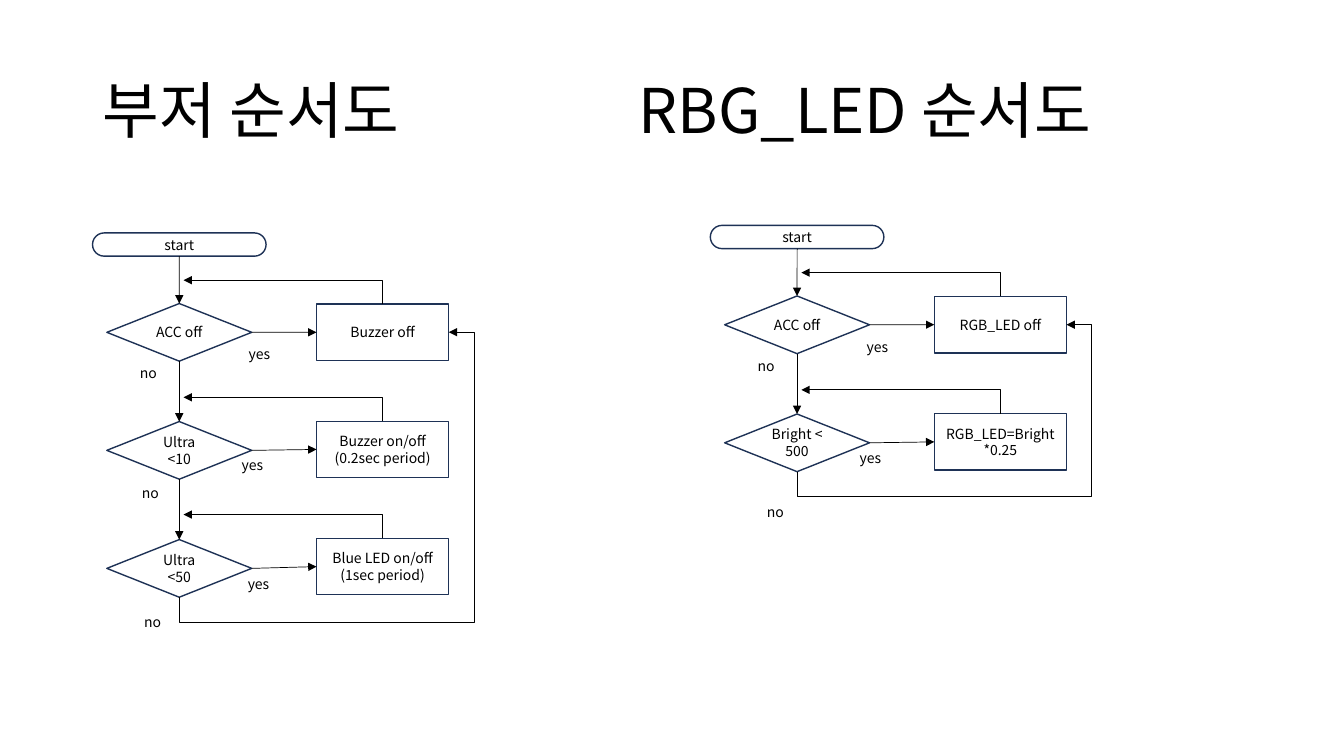
from lxml.etree import SubElement
from pptx import Presentation
from pptx.dml.color import RGBColor
from pptx.enum.shapes import MSO_CONNECTOR, MSO_SHAPE
from pptx.enum.text import MSO_ANCHOR, MSO_AUTO_SIZE, PP_ALIGN
from pptx.oxml.ns import qn
from pptx.util import Pt

TITLE = "부저 순서도\tRBG_LED 순서도"
FLOWS = [
    {
        "origin": (66.1, 166.4),
        "steps": [
            ("ACC off", "Buzzer off", (170.6, 243.4), (92.9, 257)),
            ("Ultra\n<10", "Buzzer on/off\n(0.2sec period)", (165.6, 322.6), (94.3, 342.7)),
            ("Ultra\n<50", "Blue LED on/off\n(1sec period)", (169.9, 407.5), (95.8, 434.9)),
        ],
    },
    {
        "origin": (507.4, 161),
        "steps": [
            ("ACC off", "RGB_LED off", (612, 238.3), (534.2, 252)),
            ("Bright < 500", "RGB_LED=Bright*0.25", (607, 317.5), (540.7, 356.4)),
        ],
    },
]

FONT = "Noto Sans CJK KR"
BLACK = RGBColor(0x00, 0x00, 0x00)
NAVY = RGBColor(0x1E, 0x32, 0x56)

START_SIZE = (124, 16.6)
DECISION_SIZE = (103.5, 41.2)
ACTION_SIZE = (94.4, 40.3)
LABEL_SIZE = (31.7, 19.4)
DECISION_OFFSET, DECISION_PITCH = (10.2, 50.4), 84.3
ACTION_OFFSET, ACTION_PITCH = (160, 50.8), 83.7
RETURN_RISE, RETURN_GAP, LOOP_MARGIN = 17, 3, 18
TOP, LEFT, BOTTOM, RIGHT = range(4)


def format_text(text_frame, size, alignment):
    for paragraph in text_frame.paragraphs:
        paragraph.alignment = alignment
        for run in paragraph.runs:
            run.font.size = Pt(size)
            run.font.name = FONT
            run.font.color.rgb = BLACK
            SubElement(run.font._element, qn("a:ea"), typeface=FONT)


def add_title(slide):
    title = slide.shapes.title
    title.left, title.top, title.width, title.height = Pt(66), Pt(28.8), Pt(828), Pt(104.4)
    text_frame = title.text_frame
    text_frame.text = TITLE
    text_frame.vertical_anchor = MSO_ANCHOR.MIDDLE
    text_frame.auto_size = MSO_AUTO_SIZE.NONE
    format_text(text_frame, 44, PP_ALIGN.LEFT)
    paragraph = text_frame.paragraphs[0]
    paragraph.line_spacing = 0.9
    tab_list = SubElement(paragraph._p.get_or_add_pPr(), qn("a:tabLst"))
    SubElement(tab_list, qn("a:tab"), pos=str(Pt(383)), algn="l")


def add_node(slide, kind, text, left, top, size):
    shape = slide.shapes.add_shape(kind, Pt(left), Pt(top), Pt(size[0]), Pt(size[1]))
    shape.shadow.inherit = False
    shape.fill.background()
    shape.line.color.rgb = NAVY
    shape.line.width = Pt(1)
    shape.text_frame.text = text
    shape.text_frame.vertical_anchor = MSO_ANCHOR.MIDDLE
    format_text(shape.text_frame, 10, PP_ALIGN.CENTER)
    return shape


def add_label(slide, text, position):
    label = slide.shapes.add_textbox(*map(Pt, position + LABEL_SIZE))
    label.text_frame.word_wrap = True
    label.text_frame.auto_size = MSO_AUTO_SIZE.SHAPE_TO_FIT_TEXT
    label.text_frame.text = text
    format_text(label.text_frame, 10, PP_ALIGN.LEFT)


def format_arrow(connector):
    connector.line.color.rgb = BLACK
    connector.line.width = Pt(0.5)
    SubElement(connector.line._get_or_add_ln(), qn("a:tailEnd"), type="triangle")
    SubElement(connector._element.spPr, qn("a:effectLst"))


def add_arrow(slide, source, source_side, target, target_side):
    connector = slide.shapes.add_connector(MSO_CONNECTOR.STRAIGHT, 0, 0, 0, 0)
    connector.begin_connect(source, source_side)
    connector.end_connect(target, target_side)
    format_arrow(connector)


def add_turned_elbow(slide, start, end, preset, degrees, flips, adjustments=()):
    center_x, center_y = (start[0] + end[0]) / 2, (start[1] + end[1]) / 2
    width, height = abs(end[1] - start[1]), abs(end[0] - start[0])
    left, top = center_x - width / 2, center_y - height / 2
    connector = slide.shapes.add_connector(
        MSO_CONNECTOR.ELBOW, Pt(left), Pt(top), Pt(left + width), Pt(top + height)
    )
    properties = connector._element.spPr
    transform = properties.find(qn("a:xfrm"))
    transform.set("rot", str(degrees * 60000))
    for flip in flips:
        transform.set(flip, "1")
    geometry = properties.find(qn("a:prstGeom"))
    geometry.set("prst", preset)
    guides = geometry.find(qn("a:avLst"))
    for number, value in enumerate(adjustments, 1):
        SubElement(guides, qn("a:gd"), name=f"adj{number}", fmla=f"val {round(value * 100000)}")
    format_arrow(connector)


def add_flow(slide, origin, steps):
    left, top = origin
    axis = left + START_SIZE[0] / 2
    action_left = left + ACTION_OFFSET[0]
    action_right = action_left + ACTION_SIZE[0]
    action_center = action_left + ACTION_SIZE[0] / 2
    previous = add_node(slide, MSO_SHAPE.ROUNDED_RECTANGLE, "start", left, top, START_SIZE)
    previous.adjustments[0] = 0.5

    for index, (question, action, yes_position, no_position) in enumerate(steps):
        decision_top = top + DECISION_OFFSET[1] + index * DECISION_PITCH
        action_top = top + ACTION_OFFSET[1] + index * ACTION_PITCH
        decision = add_node(slide, MSO_SHAPE.FLOWCHART_DECISION, question,
                            left + DECISION_OFFSET[0], decision_top, DECISION_SIZE)
        box = add_node(slide, MSO_SHAPE.RECTANGLE, action, action_left, action_top, ACTION_SIZE)
        add_arrow(slide, previous, BOTTOM, decision, TOP)
        add_arrow(slide, decision, RIGHT, box, LEFT)
        add_turned_elbow(slide, (action_center, action_top),
                         (axis + RETURN_GAP, action_top - RETURN_RISE),
                         "bentConnector2", 270, ["flipV"])
        add_label(slide, "yes", yes_position)
        add_label(slide, "no", no_position)
        previous = decision

    loop_start = (axis, decision_top + DECISION_SIZE[1])
    loop_end = (action_right, top + ACTION_OFFSET[1] + ACTION_SIZE[1] / 2)
    adjustments = (-LOOP_MARGIN / (loop_start[1] - loop_end[1]),
                   1 + LOOP_MARGIN / (loop_end[0] - loop_start[0]))
    add_turned_elbow(slide, loop_start, loop_end, "bentConnector4", 90,
                     ["flipH", "flipV"], adjustments)


def main():
    presentation = Presentation()
    presentation.slide_width, presentation.slide_height = Pt(960), Pt(540)
    slide = presentation.slides.add_slide(presentation.slide_layouts[5])
    add_title(slide)
    for flow in FLOWS:
        add_flow(slide, flow["origin"], flow["steps"])
    presentation.save("out.pptx")


if __name__ == "__main__":
    main()
